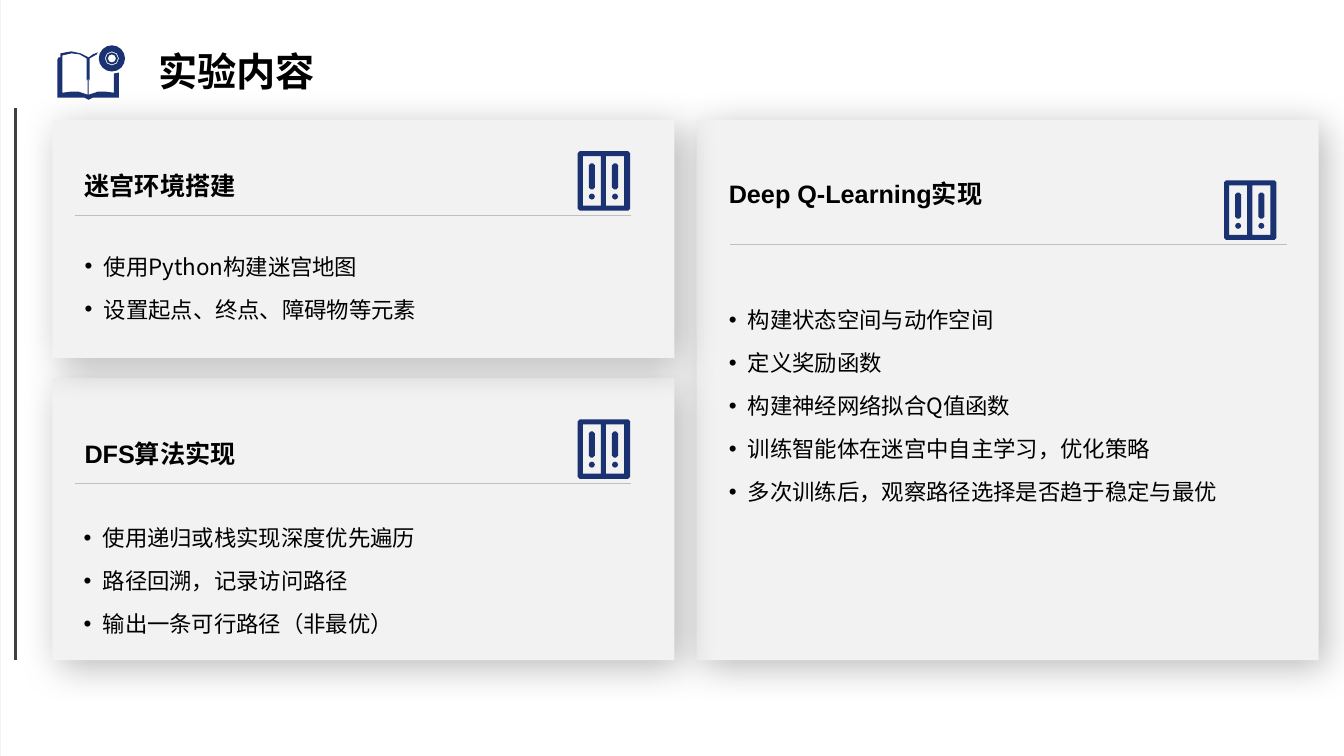
from dataclasses import dataclass
from math import cos, pi, sin

from lxml.etree import SubElement
from pptx import Presentation
from pptx.dml.color import RGBColor
from pptx.enum.shapes import MSO_CONNECTOR as Link, MSO_SHAPE as Shape
from pptx.enum.text import MSO_ANCHOR as Anchor, MSO_AUTO_SIZE as Fit, PP_ALIGN as Align
from pptx.oxml.ns import qn
from pptx.util import Inches, Pt

Path = list[tuple[float, float]]

COLORS = {"back": "F2F2F2", "page": "FFFFFF", "card": "F2F2F2", "text": "000000",
          "icon": "1A3172", "rule": "BFBFBF", "bar": "404040"}
LATIN, HAN = "Arial", "Noto Sans CJK SC"
TEXT_W = 5.52
CARD_W = 6.17


@dataclass
class Card:
    left: float
    top: float
    height: float
    head_x: float
    head_y: float
    rule_x: float
    rule_y: float
    icon_x: float
    body_x: float
    body_y: float
    body_h: float
    head: str
    items: list[str]


CARDS = [
    Card(6.91, 1.19, 5.36, 7.13, 1.72, 7.24, 2.42, 12.14, 7.13, 2.83, 3.16,
         "Deep Q-Learning实现",
         ["构建状态空间与动作空间", "定义奖励函数", "构建神经网络拟合Q值函数",
          "训练智能体在迷宫中自主学习，优化策略", "多次训练后，观察路径选择是否趋于稳定与最优"]),
    Card(0.52, 3.75, 2.8, 0.74, 4.3, 0.74, 4.79, 5.73, 0.73, 4.99, 1.46,
         "DFS算法实现",
         ["使用递归或栈实现深度优先遍历", "路径回溯，记录访问路径", "输出一条可行路径（非最优）"]),
    Card(0.52, 1.19, 2.36, 0.74, 1.64, 0.74, 2.13, 5.73, 0.74, 2.3, 1.06,
         "迷宫环境搭建",
         ["使用Python构建迷宫地图", "设置起点、终点、障碍物等元素"]),
]


def color(name: str) -> RGBColor:
    return RGBColor.from_string(COLORS[name])


def paint(shape, name: str) -> None:
    shape.shadow.inherit = False
    shape.fill.solid()
    shape.fill.fore_color.rgb = color(name)
    shape.line.fill.background()


def add_rect(shapes, x: float, y: float, w: float, h: float, name: str):
    rect = shapes.add_shape(Shape.RECTANGLE, Inches(x), Inches(y), Inches(w), Inches(h))
    paint(rect, name)
    return rect


def add_shade(shape) -> None:
    """Give the shape a soft shadow, down and to the right."""
    effects = shape._element.spPr.find(qn("a:effectLst"))
    shade = SubElement(effects, qn("a:outerShdw"), blurRad=str(Pt(28)), dist=str(Pt(7)),
                       dir="2700000", algn="tl", rotWithShape="0")
    tint = SubElement(shade, qn("a:srgbClr"), val=COLORS["text"])
    SubElement(tint, qn("a:alpha"), val="28000")


def add_line(shapes, x1: float, y1: float, x2: float, y2: float, name: str, width: float) -> None:
    line = shapes.add_connector(Link.STRAIGHT, Inches(x1), Inches(y1), Inches(x2), Inches(y2))
    line.line.color.rgb = color(name)
    line.line.width = Pt(width)
    SubElement(line._element.spPr, qn("a:effectLst"))


def add_run(para, text: str, size: float, font: str, bold: bool = False) -> None:
    run = para.add_run()
    run.text = text
    run.font.size = Pt(size)
    run.font.bold = bold
    run.font.name = font
    run.font.color.rgb = color("text")
    SubElement(run.font._element, qn("a:ea"), typeface=HAN)


def add_box(shapes, x: float, y: float, h: float):
    frame = shapes.add_textbox(Inches(x), Inches(y), Inches(TEXT_W), Inches(h)).text_frame
    frame.word_wrap = True
    return frame


def add_list(shapes, card: Card) -> None:
    frame = add_box(shapes, card.body_x, card.body_y, card.body_h)
    for i, item in enumerate(card.items):
        para = frame.add_paragraph() if i else frame.paragraphs[0]
        para.line_spacing = 1.6
        props = para._p.get_or_add_pPr()
        props.set("marL", str(Inches(0.19)))
        props.set("indent", str(-Inches(0.19)))
        SubElement(props, qn("a:buFont"), typeface=LATIN)
        SubElement(props, qn("a:buChar"), char="•")
        add_run(para, item, 16, HAN)


def ring(x: float, y: float, r: float, sides: int = 8) -> Path:
    angles = [2 * pi * i / sides for i in range(sides)]
    return [(x + r * cos(a), y + r * sin(a)) for a in angles]


def block(x: float, y: float, w: float, h: float, cut: float = 0) -> Path:
    """Outline of a rectangle whose corners are cut off."""
    r, b = x + w, y + h
    if not cut:
        return [(x, y), (r, y), (r, b), (x, b)]
    return [(x + cut, y), (r - cut, y), (r, y + cut), (r, b - cut),
            (r - cut, b), (x + cut, b), (x, b - cut), (x, y + cut)]


def add_icon(shapes, x: float, y: float, paths: list[Path]) -> None:
    """Draw closed outlines as one shape; an outline inside another cuts a hole."""
    def place(path: Path) -> list[tuple[int, int]]:
        return [(Inches(x + px), Inches(y + py)) for px, py in path]

    first, *rest = map(place, paths)
    pen = shapes.build_freeform(*first[0])
    pen.add_line_segments(first[1:], close=True)
    for path in rest:
        pen.move_to(*path[0])
        pen.add_line_segments(path[1:], close=True)
    paint(pen.convert_to_shape(), "icon")


BINDER = [block(0, 0, 0.52, 0.59, 0.02)]
for pane_x in (0.05, 0.28):
    BINDER += [block(pane_x, 0.05, 0.18, 0.49),
               block(pane_x + 0.06, 0.12, 0.06, 0.26, 0.02),
               ring(pane_x + 0.09, 0.45, 0.03)]

BOOK = [
    [(0.03, 0.08), (0.08, 0.07), (0.14, 0.06), (0.23, 0.08), (0.31, 0.12),
     (0.35, 0.09), (0.4, 0.07), (0.39, 0.09), (0.32, 0.13), (0.32, 0.35),
     (0.31, 0.33), (0.31, 0.49), (0.4, 0.46), (0.48, 0.46), (0.56, 0.47),
     (0.56, 0.28), (0.61, 0.27), (0.61, 0.52), (0.35, 0.52), (0.31, 0.54),
     (0.27, 0.52), (0, 0.52), (0, 0.14), (0.01, 0.12), (0.03, 0.12)],
    [(0.05, 0.1), (0.14, 0.08), (0.22, 0.09), (0.29, 0.13), (0.29, 0.35),
     (0.3, 0.33), (0.3, 0.49), (0.21, 0.46), (0.13, 0.46), (0.05, 0.47)],
    ring(0.54, 0.13, 0.13, 16),
    *[ring(0.54, 0.13, r) for r in (0.07, 0.06, 0.04)],
]


def set_title(title) -> None:
    title.left, title.top = Inches(1.47), Inches(0.26)
    title.width, title.height = Inches(11.86), Inches(0.73)
    frame = title.text_frame
    frame.auto_size = Fit.NONE
    frame.vertical_anchor = Anchor.BOTTOM
    para = frame.paragraphs[0]
    para.alignment = Align.LEFT
    para.line_spacing = 0.9
    add_run(para, "实验内容", 28, LATIN, True)


def main() -> None:
    deck = Presentation()
    deck.slide_width, deck.slide_height = Inches(13.33), Inches(7.5)
    slide = deck.slides.add_slide(deck.slide_layouts[5])
    slide.background.fill.solid()
    slide.background.fill.fore_color.rgb = color("back")
    shapes = slide.shapes

    page = add_rect(shapes, 0.01, 0, 13.32, 7.5, "page")
    title = shapes.title
    set_title(title)
    page._element.addnext(title._element)

    for card in CARDS:
        add_shade(add_rect(shapes, card.left, card.top, CARD_W, card.height, "card"))
    for card in CARDS:
        add_list(shapes, card)
        head = add_box(shapes, card.head_x, card.head_y, 0.45)
        add_run(head.paragraphs[0], card.head, 18, LATIN, True)
        add_line(shapes, card.rule_x, card.rule_y, card.rule_x + TEXT_W, card.rule_y, "rule", 0.25)
        add_icon(shapes, card.icon_x, card.rule_y - 0.63, BINDER)
    add_line(shapes, 0.15, 1.07, 0.15, 6.55, "bar", 2)
    add_icon(shapes, 0.57, 0.45, BOOK)
    deck.save("out.pptx")


if __name__ == "__main__":
    main()
